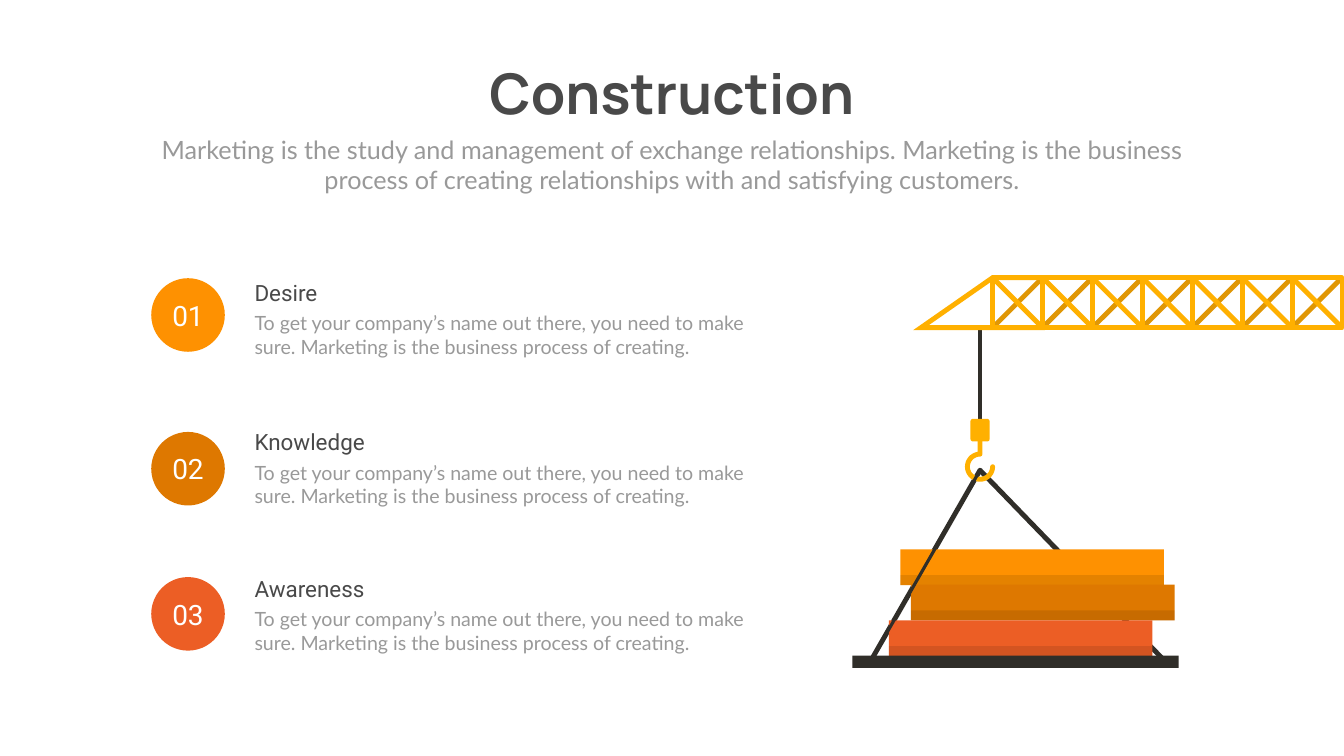
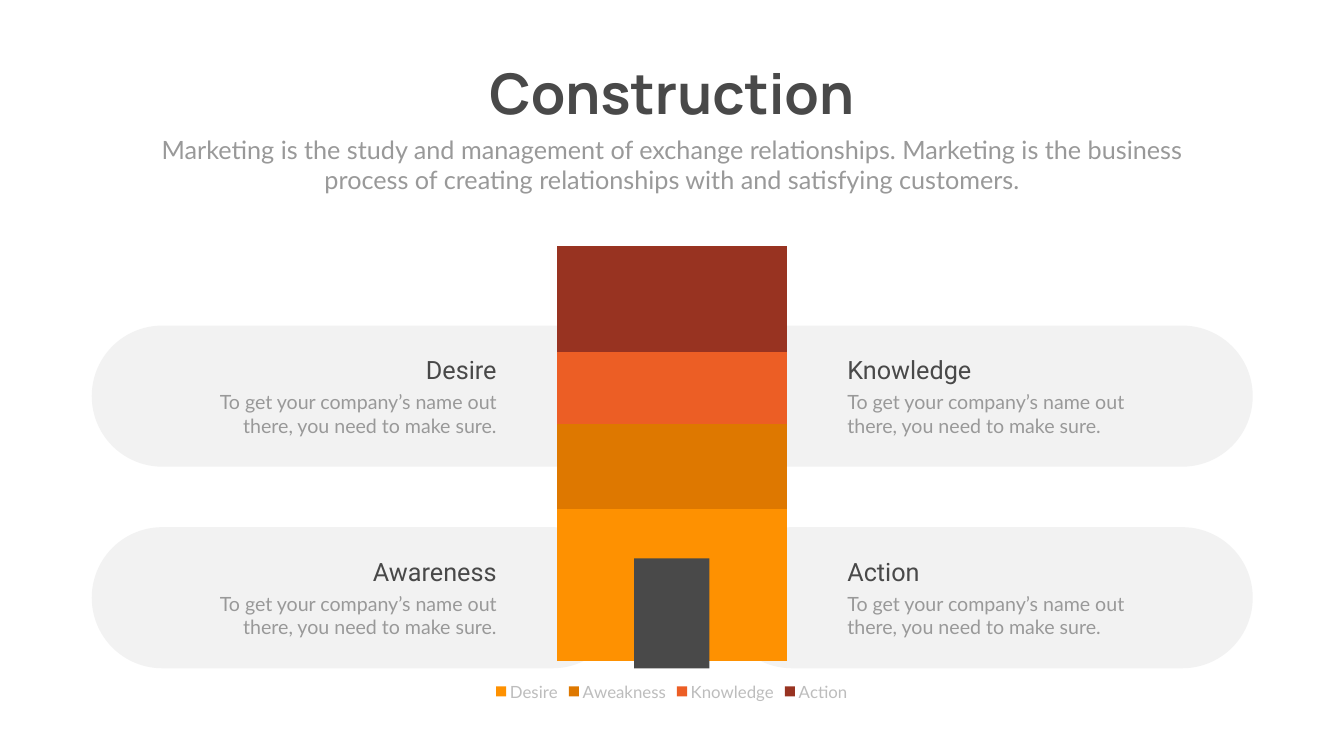
import math

import lxml.etree
import pptx
import pptx.chart.data
import pptx.dml.color
import pptx.enum.chart
import pptx.enum.shapes
import pptx.enum.text
import pptx.oxml.ns
import pptx.util

Inches = pptx.util.Inches
Pt = pptx.util.Pt
RGBColor = pptx.dml.color.RGBColor
Shape = pptx.enum.shapes.MSO_SHAPE
Align = pptx.enum.text.PP_ALIGN
Anchor = pptx.enum.text.MSO_ANCHOR
AutoSize = pptx.enum.text.MSO_AUTO_SIZE
qn = pptx.oxml.ns.qn

INK = RGBColor(0x49, 0x49, 0x49)
GREY = RGBColor(0x99, 0x99, 0x99)
LEGEND_GREY = RGBColor(0xBD, 0xBD, 0xBD)
PALE = RGBColor(0xF2, 0xF2, 0xF2)
WHITE = RGBColor(0xFF, 0xFF, 0xFF)
BLACK = RGBColor(0x00, 0x00, 0x00)
STEEL = RGBColor(0x30, 0x2E, 0x29)
ORANGE = RGBColor(0xFE, 0x91, 0x01)
AMBER = RGBColor(0xDE, 0x78, 0x00)
RED = RGBColor(0xEC, 0x5E, 0x25)
BRICK = RGBColor(0x98, 0x33, 0x21)
CRANE = RGBColor(0xFF, 0xB0, 0x00)
CRANE_DARK = RGBColor(0xE0, 0x97, 0x05)

HEADING_FONT, BODY_FONT, TITLE_FONT = "Roboto", "Lato", "Manrope"
INTRO = (
    "Marketing is the study and management of exchange relationships. "
    "Marketing is the business process of creating relationships with "
    "and satisfying customers."
)
SHORT_PITCH = "To get your company’s name out there, you need to make sure."
LONG_PITCH = SHORT_PITCH + " Marketing is the business process of creating."


class Deck:
    def __init__(self):
        self.presentation = pptx.Presentation()
        self.presentation.slide_width = Inches(26.66)
        self.presentation.slide_height = Inches(15)
        self.slide = None

    def new_slide(self, title, intro):
        layout = self.presentation.slide_layouts[0]
        self.slide = self.presentation.slides.add_slide(layout)
        heading, subtitle = self.slide.placeholders
        self.place(heading, 9.44, 1.12, 7.78, 1.45)
        self.set_text(heading, title, 80, TITLE_FONT, INK, Align.CENTER, bold=True)
        heading.text_frame.word_wrap = False
        self.place(subtitle, 2.92, 2.61, 20.82, 1.31)
        self.set_text(subtitle, intro, 36, BODY_FONT, GREY, Align.CENTER)

    def place(self, shape, left, top, width, height):
        shape.left, shape.top = Inches(left), Inches(top)
        shape.width, shape.height = Inches(width), Inches(height)

    def set_text(self, shape, words, size, font, color, align, anchor=Anchor.TOP, bold=False):
        frame = shape.text_frame
        frame.text = words
        frame.word_wrap = True
        frame.auto_size = AutoSize.NONE
        frame.vertical_anchor = anchor
        paragraph = frame.paragraphs[0]
        paragraph.alignment = align
        paragraph.space_before = Pt(0)
        paragraph.font.name = font
        paragraph.font.size = Pt(size)
        paragraph.font.bold = bold
        paragraph.font.color.rgb = color

    def text(self, words, box, size, font, color, align=Align.LEFT):
        label = self.slide.shapes.add_textbox(*map(Inches, box))
        self.set_text(label, words, size, font, color, align)

    def paint(self, shape, fill=None, line=None, weight=7):
        shape.shadow.inherit = False
        if fill is None:
            shape.fill.background()
        else:
            shape.fill.solid()
            shape.fill.fore_color.rgb = fill
        if line is None:
            shape.line.fill.background()
        else:
            shape.line.color.rgb = line
            shape.line.width = Pt(weight)
        return shape

    def shape(self, kind, box, fill=None, line=None):
        return self.paint(self.slide.shapes.add_shape(kind, *map(Inches, box)), fill, line)

    def pill(self, box, fill, roundness):
        self.shape(Shape.ROUNDED_RECTANGLE, box, fill).adjustments[0] = roundness

    def shade(self, box):
        band = self.shape(Shape.RECTANGLE, box, BLACK)
        color = band._element.spPr.find(".//" + qn("a:srgbClr"))
        lxml.etree.SubElement(color, qn("a:alpha")).set("val", "10000")

    def line(self, x1, y1, x2, y2, color, weight=7):
        stroke = self.slide.shapes.add_connector(
            pptx.enum.shapes.MSO_CONNECTOR.STRAIGHT, *map(Inches, (x1, y1, x2, y2)))
        stroke.line.color.rgb = color
        stroke.line.width = Pt(weight)
        lxml.etree.SubElement(stroke._element.spPr, qn("a:effectLst"))

    def outline(self, points, color, close=False):
        (start, *rest) = [(Inches(x), Inches(y)) for x, y in points]
        builder = self.slide.shapes.build_freeform(*start)
        builder.add_line_segments(rest, close=close)
        return self.paint(builder.convert_to_shape(), line=color)

    def badge(self, number, left, top, fill):
        disc = self.shape(Shape.OVAL, (left, top, 1.46, 1.46), fill)
        self.set_text(disc, number, 40, HEADING_FONT, WHITE, Align.CENTER, Anchor.MIDDLE)

    def stacked_column(self, box, floors):
        data = pptx.chart.data.CategoryChartData()
        data.categories = ["1"]
        for name, value, _ in floors:
            data.add_series(name, [value])
        chart = self.slide.shapes.add_chart(
            pptx.enum.chart.XL_CHART_TYPE.COLUMN_STACKED, *map(Inches, box), data).chart
        chart.font.name, chart.font.size = "Calibri", Pt(10)
        chart.font.color.rgb = GREY
        chart.has_title = False
        chart.has_legend = True
        chart.legend.position = pptx.enum.chart.XL_LEGEND_POSITION.BOTTOM
        chart.legend.include_in_layout = False
        chart.legend.font.name, chart.legend.font.size = BODY_FONT, Pt(24)
        chart.legend.font.color.rgb = LEGEND_GREY
        chart.category_axis.visible = False
        chart.value_axis.visible = False
        chart.value_axis.has_major_gridlines = False
        chart.value_axis.minimum_scale, chart.value_axis.maximum_scale = 0, 300
        plot = chart.plots[0]
        plot.gap_width, plot.overlap = 150, 100
        plot.vary_by_categories = False
        for series, (_, _, color) in zip(plot.series, floors):
            series.format.fill.solid()
            series.format.fill.fore_color.rgb = color
        self.fix_plot_area(chart, x=0.02, y=0.09, w=0.96, h=0.83)

    def fix_plot_area(self, chart, **fractions):
        area = chart._chartSpace.find(".//" + qn("c:plotArea"))
        for automatic in area.findall(qn("c:layout")):
            area.remove(automatic)
        layout = lxml.etree.Element(qn("c:layout"))
        area.insert(0, layout)
        manual = lxml.etree.SubElement(layout, qn("c:manualLayout"))
        settings = {"layoutTarget": "inner", "xMode": "edge", "yMode": "edge", **fractions}
        for tag, value in settings.items():
            lxml.etree.SubElement(manual, qn("c:" + tag)).set("val", str(value))


def draw_load(deck):
    hook_x, sling_y, pallet_y = 19.44, 9.33, 13.1
    deck.outline([(23.09, pallet_y), (hook_x, sling_y), (17.28, pallet_y)], STEEL)
    deck.line(hook_x, 6.54, hook_x, 8.5, STEEL)
    deck.pill((19.25, 8.31, 0.38, 0.45), CRANE, 0.13)
    radius, center_y = 0.25, 9.26
    bend = [
        (hook_x + radius * math.cos(math.radians(angle)),
         center_y + radius * math.sin(math.radians(angle)))
        for angle in range(0, 271, 10)
    ]
    hook = deck.outline(bend + [(hook_x, 8.6)], CRANE)
    hook._element.spPr.find(qn("a:ln")).set("cap", "rnd")
    beam_height, shade_height = 0.71, 0.2
    for left, top, color in ((17.86, 10.9, ORANGE), (18.07, 11.6, AMBER), (17.63, 12.31, RED)):
        deck.shape(Shape.RECTANGLE, (left, top, 5.23, beam_height), color)
        deck.shade((left, top + beam_height - shade_height, 5.23, shade_height))
    deck.shape(Shape.RECTANGLE, (16.91, 13.01, 6.47, 0.24), STEEL)
    deck.line(hook_x, sling_y, 17.28, pallet_y, STEEL, 4.5)


def draw_jib(deck):
    start, top, bay = 19.69, 5.51, 0.99
    bottom = top + bay
    for index in reversed(range(7)):
        left = start + index * bay
        right = left + bay
        deck.line(left, bottom, right, top, CRANE_DARK)
        if index:
            deck.shape(Shape.RECTANGLE, (left, top, bay, bay), line=CRANE)
        else:
            tip = deck.outline(
                [(right, bottom), (right, top), (left, top), (18.27, bottom)], CRANE, close=True)
            border = tip._element.spPr.find(qn("a:ln"))
            lxml.etree.SubElement(border, qn("a:miter")).set("lim", "800000")
        deck.line(left, top, right, bottom, CRANE)
    deck.line(start, top, start, 6.54, CRANE)


def crane_slide(deck):
    deck.new_slide("Construction", INTRO)
    draw_load(deck)
    draw_jib(deck)
    steps = (
        ("01", "Desire", 5.48, 5.52, ORANGE),
        ("02", "Knowledge", 8.45, 8.57, AMBER),
        ("03", "Awareness", 11.36, 11.45, RED),
    )
    for number, name, top, badge_top, color in steps:
        deck.text(name, (4.95, top, 4.99, 0.64), 32, HEADING_FONT, INK)
        deck.text(LONG_PITCH, (4.95, top + 0.64, 10.72, 1.04), 28, BODY_FONT, GREY)
        deck.badge(number, 3, badge_top, color)


def tower_slide(deck):
    deck.new_slide("Construction", INTRO)
    rows = ((6.46, "Desire", "Knowledge"), (10.46, "Awareness", "Action"))
    for top, _, _ in rows:
        for left in (1.82, 14.31):
            deck.pill((left, top, 10.54, 2.8), PALE, 0.5)
    deck.stacked_column((7.38, 3.08, 11.89, 10.91), (
        ("Desire", 100, ORANGE),
        ("Aweakness", 56, AMBER),
        ("Knowledge", 47, RED),
        ("Action", 70, BRICK),
    ))
    deck.shape(Shape.RECTANGLE, (12.58, 11.08, 1.49, 2.18), INK)
    for top, left_name, right_name in rows:
        sides = (
            (left_name, 6.69, 3.47, Align.RIGHT),
            (right_name, 16.71, 16.71, Align.LEFT),
        )
        for name, name_left, pitch_left, align in sides:
            deck.text(name, (name_left, top + 0.52, 3.26, 0.71), 36, HEADING_FONT, INK, align)
            deck.text(SHORT_PITCH, (pitch_left, top + 1.23, 6.48, 1.04), 28, BODY_FONT, GREY, align)


def main():
    deck = Deck()
    crane_slide(deck)
    tower_slide(deck)
    deck.presentation.save("out.pptx")


if __name__ == "__main__":
    main()
